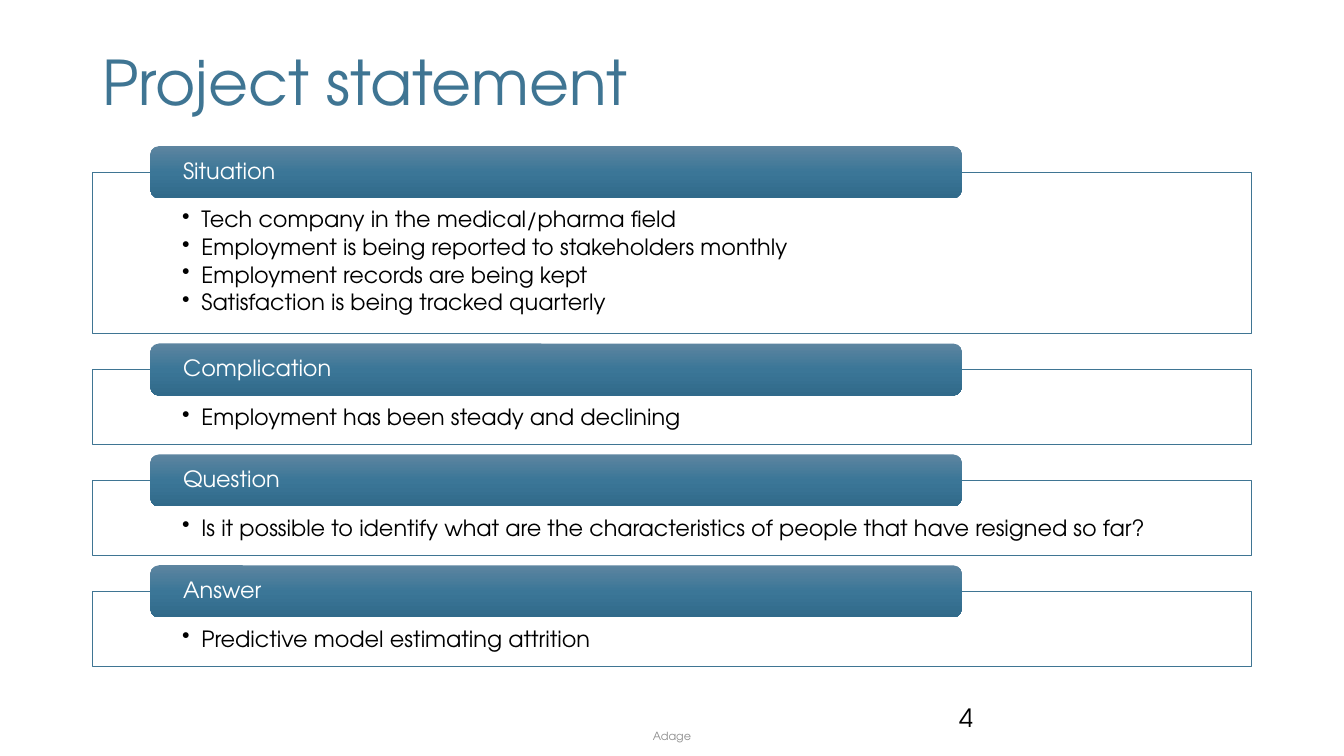
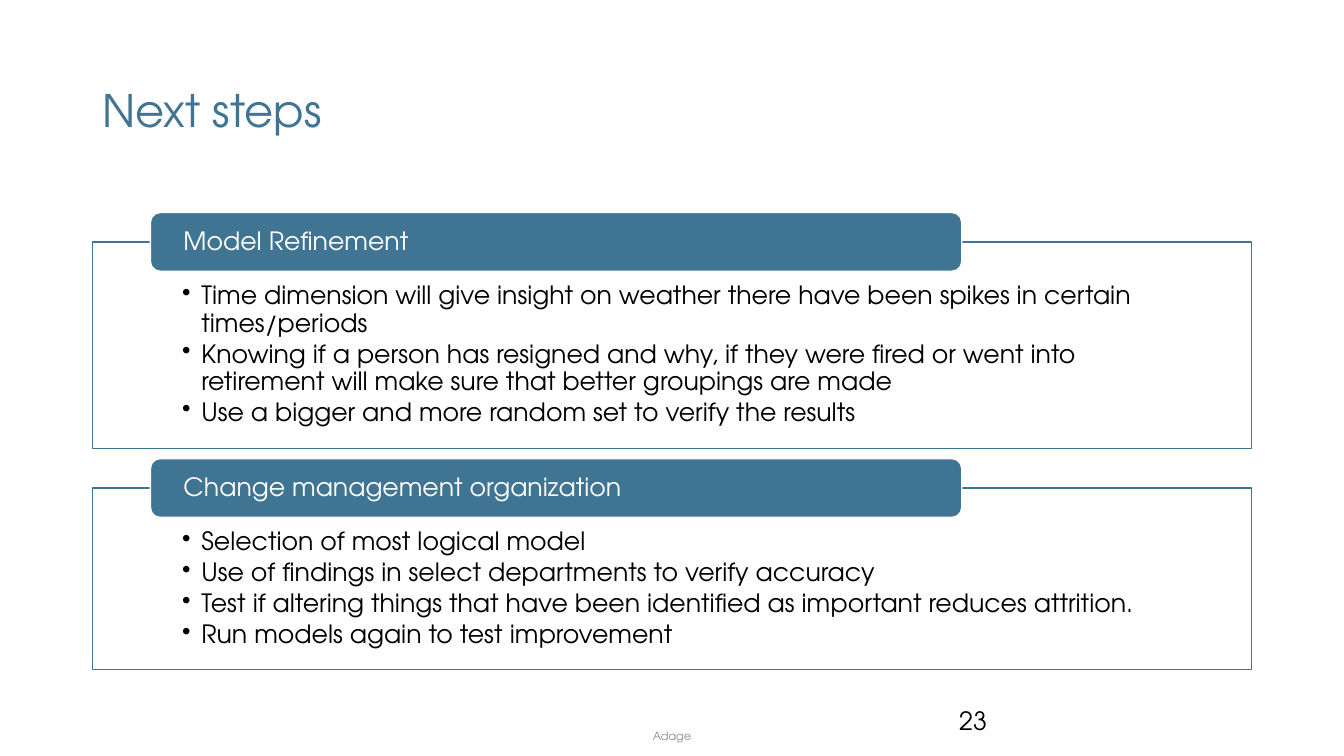
import copy

import pptx
import pptx.util
import pptx.dml.color
import pptx.enum.shapes
import pptx.enum.text
import pptx.oxml
import pptx.oxml.ns
import lxml.etree

COLS, ROWS = 160, 90
FONT = "TeX Gyre Adventor"
BLUE, WHITE, BLACK, GREY = "3F7593", "FFFFFF", "000000", "8C8C8C"
SHADE = ["5D85A0", "3B7697", "316A8A"]
LEFT, WIDE = 11, 138
ALIGN = pptx.enum.text.PP_ALIGN
ANCHOR = pptx.enum.text.MSO_ANCHOR
SHAPE = pptx.enum.shapes.MSO_SHAPE


def unit(n):
    """Turn grid cells (a twelfth of an inch) into a length."""
    return pptx.util.Inches(n / 12)


def color(code):
    return pptx.dml.color.RGBColor.from_string(code)


def tag(node, name, **attrs):
    """Add a drawing element to a node."""
    child = lxml.etree.SubElement(node, pptx.oxml.ns.qn(name))
    for key, val in attrs.items():
        child.set(key, val)
    return child


def write(shape, lines, size=16, ink=BLACK, align=ALIGN.LEFT, anchor=ANCHOR.TOP,
          lead=0.9, after=0, bullet=False, pad=(1.2, 0.6, 1.2, 0.6)):
    """Fill a shape with paragraphs; pad is left, top, right, bottom in cells."""
    frame = shape.text_frame
    frame.word_wrap = True
    frame.vertical_anchor = anchor
    (frame.margin_left, frame.margin_top,
     frame.margin_right, frame.margin_bottom) = map(unit, pad)
    for i, line in enumerate(lines):
        para = frame.add_paragraph() if i else frame.paragraphs[0]
        if bullet:
            props = para._p.get_or_add_pPr()
            hang = pptx.util.Inches(0.19)
            props.set("marL", str(hang))
            props.set("indent", str(-hang))
            tag(props, "a:buChar", char="•")
        para.alignment = align
        para.line_spacing = lead
        para.space_after = pptx.util.Pt(after)
        run = para.add_run()
        run.text = line
        run.font.size = pptx.util.Pt(size)
        run.font.name = FONT
        run.font.color.rgb = color(ink)


class Deck:
    def __init__(self):
        self.file = pptx.Presentation()
        self.file.slide_width = unit(COLS)
        self.file.slide_height = unit(ROWS)
        self.slide = None

    def page(self, num, title, size, high, lead):
        """Start a slide with its title, footer and number."""
        self.slide = self.file.slides.add_slide(self.file.slide_layouts[6])
        self.text(LEFT, 4.8, WIDE, high, title, size=size, ink=BLUE,
                  anchor=ANCHOR.MIDDLE)
        self.text(53, 85.2, 54, 4.8, "Adage", size=8, ink=GREY,
                  align=ALIGN.CENTER, anchor=ANCHOR.MIDDLE, lead=1)
        self.text(113, 83.4, 36, 4.8, str(num), size=18, lead=lead)

    def text(self, x, y, w, h, words, **style):
        box = self.slide.shapes.add_textbox(*map(unit, (x, y, w, h)))
        write(box, [words], **style)

    def block(self, kind, x, y, w, h, fill, edge=None, line=1):
        """Add a shape; a list of fills makes a gradient from top to bottom."""
        shape = self.slide.shapes.add_shape(kind, *map(unit, (x, y, w, h)))
        shape.shadow.inherit = False
        if isinstance(fill, list):
            shape.fill.gradient()
            shape.fill.gradient_angle = 270
            stops = shape._element.spPr.find(".//" + pptx.oxml.ns.qn("a:gsLst"))
            while len(stops) < len(fill):
                stops.append(copy.deepcopy(stops[0]))
            for i, stop in enumerate(shape.fill.gradient_stops):
                stop.color.rgb = color(fill[i])
                stop.position = i / (len(fill) - 1)
        else:
            shape.fill.solid()
            shape.fill.fore_color.rgb = color(fill)
        if edge:
            shape.line.color.rgb = color(edge)
            shape.line.width = pptx.util.Pt(line)
        else:
            shape.line.fill.background()
        return shape

    def panel(self, y, high, tab, head, items, size, fill, edge, line):
        """Add a framed list whose heading tab straddles the top edge."""
        frame = self.block(SHAPE.RECTANGLE, LEFT, y + tab / 2, WIDE, high,
                           WHITE, BLUE, line)
        tint = frame._element.spPr.find(".//" + pptx.oxml.ns.qn("a:srgbClr"))
        tag(tint, "a:alpha", val="90000")
        write(frame, items, size=size, after=0.15 * size, bullet=True,
              pad=(10.7, 0.7 * tab, 10.7, 0.24 * tab))
        label = self.block(SHAPE.ROUNDED_RECTANGLE, 17.9, y, 96.6, tab, fill, edge)
        write(label, [head], size=size, ink=WHITE, anchor=ANCHOR.MIDDLE,
              pad=(3.6, 0, 3.6, 0))

    def stack(self, top, tab, parts, size, fill, edge=None, line=1):
        """Set panels one below the other with equal gaps."""
        for high, head, items in parts:
            self.panel(top, high, tab, head, items, size, fill, edge, line)
            top += tab / 2 + high + 1.2


def main():
    deck = Deck()
    deck.page(4, "Project statement", size=44, high=10.8, lead=0.9)
    deck.stack(17.4, 6.2, [
        (19.2, "Situation", [
            "Tech company in the medical/pharma field",
            "Employment is being reported to stakeholders monthly",
            "Employment records are being kept",
            "Satisfaction is being tracked quarterly"]),
        (8.9, "Complication", ["Employment has been steady and declining"]),
        (8.9, "Question", [
            "Is it possible to identify what are the characteristics of "
            "people that have resigned so far?"]),
        (8.9, "Answer", ["Predictive model estimating attrition"]),
    ], size=16, fill=SHADE, line=0.5)

    deck.page(23, "Next steps", size=32, high=17.4, lead=1)
    deck.stack(25.3, 7, [
        (24.6, "Model Refinement", [
            "Time dimension will give insight on weather there have been "
            "spikes in certain times/periods",
            "Knowing if a person has resigned and why, if they were fired or "
            "went into retirement will make sure that better groupings are made",
            "Use a bigger and more random set to verify the results"]),
        (21.6, "Change management organization", [
            "Selection of most logical model",
            "Use of findings in select departments to verify accuracy",
            "Test if altering things that have been identified as important "
            "reduces attrition.",
            "Run models again to test improvement"]),
    ], size=18, fill=BLUE, edge=WHITE)
    deck.file.save("out.pptx")


if __name__ == "__main__":
    main()
